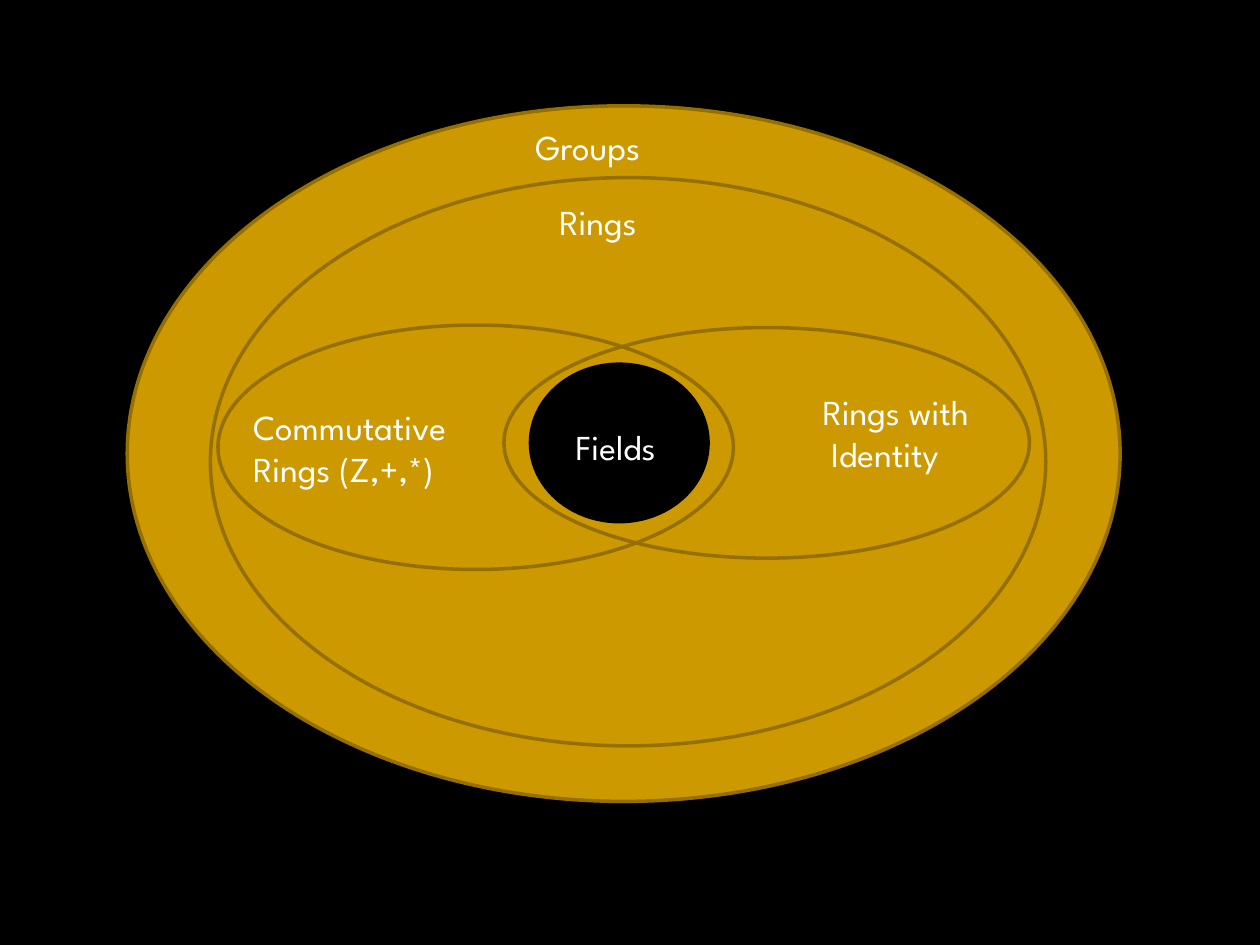
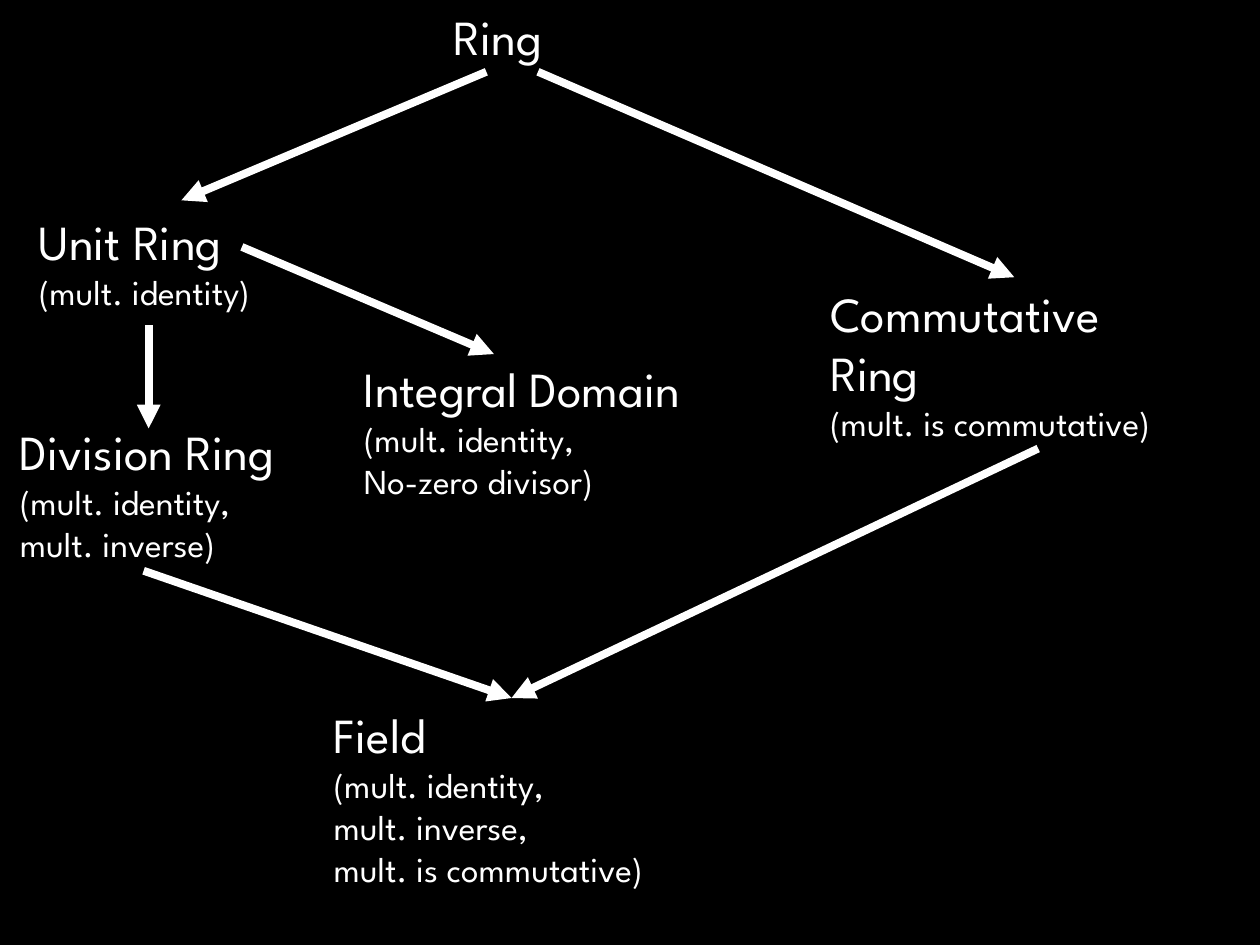
from lxml import etree
from pptx import Presentation, util as u
from pptx.dml.color import RGBColor
from pptx.enum import shapes, text
from pptx.oxml.ns import qn

BLACK, WHITE, GOLD, BRONZE = "000000", "FFFFFF", "CC9900", "956F00"
FONT = "League Spartan"
NAME_SIZE, NOTE_SIZE = 28, 20
OUTLINE, ARROW = 2, 4.5

# Box (left, top, width, height), fill, line; back to front
SETS = [
    ((1.01, 0.84, 7.88, 5.52), GOLD, BRONZE),   # groups
    ((1.67, 1.41, 6.63, 4.51), GOLD, BRONZE),   # rings
    ((4.21, 2.89, 1.41, 1.25), BLACK, BLACK),   # fields
    ((1.73, 2.58, 4.09, 1.94), None, BRONZE),   # commutative rings
    ((4, 2.6, 4.17, 1.83), None, BRONZE),       # rings with identity
]
# Box, names, notes, wrap
SET_LABELS = [
    ((4.15, 0.95, 1.16, 0.44), [], ["Groups"], False),
    ((4.34, 1.54, 0.92, 0.44), [], ["Rings"], False),
    ((4.47, 3.33, 0.95, 0.44), [], ["Fields"], False),
    ((6.43, 3.05, 1.63, 0.77), [], ["Rings with \v Identity"], False),
    ((1.91, 3.17, 2.11, 0.77), [], ["Commutative", "Rings (Z,+,*)"], True),
]
STRUCTURES = [
    ((3.5, 0, 1.02, 0.57), ["Ring"], [], False),
    ((0.21, 1.63, 2.1, 0.9), ["Unit Ring"], ["(mult. identity)"], False),
    ((0.06, 3.3, 2.56, 1.24), ["Division Ring"],
     ["(mult. identity,", "mult. inverse)"], False),
    ((6.49, 2.2, 3.12, 1.37), ["Commutative", "Ring"],
     ["(mult. is commutative)"], False),
    ((2.55, 5.54, 3.03, 1.57), ["Field"],
     ["(mult. identity,", "mult. inverse,", "mult. is commutative)"], False),
    ((2.79, 2.8, 3.2, 1.24), ["Integral Domain"],
     ["(mult. identity,", "No-zero divisor)"], True),
]
FIELD_TOP = (4.06, 5.54)
ARROWS = [
    ((3.86, 0.57), (1.44, 1.59)),   # ring to unit ring
    ((1.18, 2.58), (1.18, 3.4)),    # unit ring to division ring
    ((1.14, 4.53), FIELD_TOP),      # division ring to field
    ((8.24, 3.56), FIELD_TOP),      # commutative ring to field
    ((4.27, 0.57), (8.05, 2.2)),    # ring to commutative ring
    ((1.92, 1.96), (3.92, 2.81)),   # unit ring to integral domain
]


def color(code):
    return RGBColor.from_string(code)


def inches(values):
    return [u.Inches(value) for value in values]


def set_all(target, values):
    for name, value in values.items():
        setattr(target, name, value)


def style_line(line, code, width):
    line.color.rgb = color(code)
    line.width = u.Pt(width)


def add_ellipse(page, box, fill, outline):
    ellipse = page.shapes.add_shape(shapes.MSO_SHAPE.OVAL, *inches(box))
    ellipse.shadow.inherit = False
    if fill:
        ellipse.fill.solid()
        ellipse.fill.fore_color.rgb = color(fill)
    else:
        ellipse.fill.background()
    style_line(ellipse.line, outline, OUTLINE)


def add_label(page, box, names, notes, wrap):
    """Write large names, then smaller notes, one paragraph each."""
    frame = page.shapes.add_textbox(*inches(box)).text_frame
    set_all(frame, {"word_wrap": wrap,
                    "auto_size": text.MSO_AUTO_SIZE.SHAPE_TO_FIT_TEXT})
    lines = [(name, NAME_SIZE) for name in names]
    lines += [(note, NOTE_SIZE) for note in notes]
    for index, (words, size) in enumerate(lines):
        para = frame.add_paragraph() if index else frame.paragraphs[0]
        para.text = words
        for span in para.runs:
            set_all(span.font, {"name": FONT, "size": u.Pt(size)})
            span.font.color.rgb = color(WHITE)


def add_arrow(page, start, end):
    arrow = page.shapes.add_connector(
        shapes.MSO_CONNECTOR.STRAIGHT, *inches(start + end))
    style_line(arrow.line, WHITE, ARROW)
    properties = arrow._element.spPr
    etree.SubElement(properties.find(qn("a:ln")), qn("a:tailEnd"), type="triangle")
    etree.SubElement(properties, qn("a:effectLst"))


def add_page(deck):
    page = deck.slides.add_slide(deck.slide_layouts.get_by_name("Blank"))
    page.background.fill.solid()
    page.background.fill.fore_color.rgb = color(BLACK)
    return page


def main():
    deck = Presentation()
    set_all(deck, {"slide_width": u.Inches(10), "slide_height": u.Inches(7.5)})

    venn = add_page(deck)
    for ellipse in SETS:
        add_ellipse(venn, *ellipse)
    for label in SET_LABELS:
        add_label(venn, *label)

    hierarchy = add_page(deck)
    for structure in STRUCTURES:
        add_label(hierarchy, *structure)
    for start, end in ARROWS:
        add_arrow(hierarchy, start, end)

    deck.save("out.pptx")


if __name__ == "__main__":
    main()
